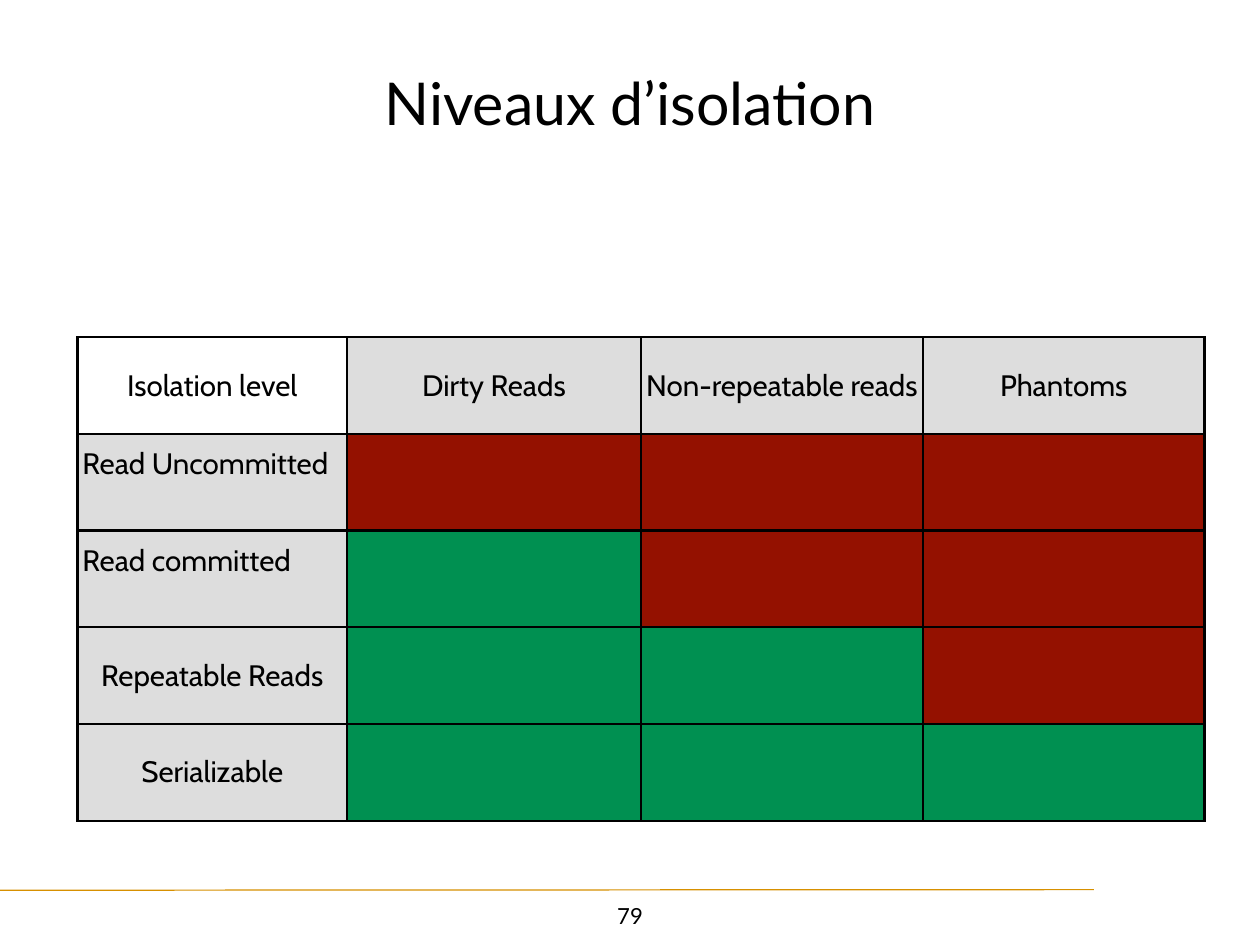
from dataclasses import dataclass

from lxml import etree
from pptx import Presentation
from pptx.dml.color import RGBColor
from pptx.enum.shapes import MSO_CONNECTOR
from pptx.enum.text import MSO_ANCHOR, PP_ALIGN
from pptx.oxml.ns import qn
from pptx.util import Pt

STRAIGHT = MSO_CONNECTOR.STRAIGHT
TOP, MIDDLE = MSO_ANCHOR.TOP, MSO_ANCHOR.MIDDLE
LEFT, CENTER = PP_ALIGN.LEFT, PP_ALIGN.CENTER


@dataclass(frozen=True)
class Theme:
    """Colours, fonts and type sizes of the slide."""
    ink: str = "000000"
    paper: str = "FFFFFF"
    header: str = "DDDDDD"
    possible: str = "941100"
    prevented: str = "009051"
    rule: str = "D79000"
    main_font: str = "Lato"
    table_font: str = "Cabin"
    title_size: int = 48
    table_size: int = 24
    number_size: int = 18
    inset: int = 4


THEME = Theme()
ANOMALIES = ["Dirty Reads", "Non-repeatable reads", "Phantoms"]
# Each level with the number of anomalies it prevents, and its alignment
LEVELS = [
    ("Read Uncommitted", 0, LEFT),
    ("Read committed", 1, LEFT),
    ("Repeatable Reads", 2, CENTER),
    ("Serializable", 3, CENTER),
]
COLUMN_WIDTHS = [219, 239, 229, 229]


def write(tf, text, *, size, font=THEME.main_font, color=THEME.ink, align=CENTER):
    """Put one formatted line of text in a text frame."""
    p = tf.paragraphs[0]
    p.alignment = align
    r = p.add_run()
    r.text = text
    r.font.name, r.font.size = font, Pt(size)
    r.font.color.rgb = RGBColor.from_string(color)


def set_insets(tf):
    """Give a text frame or a cell the same margin on all sides."""
    tf.margin_left = tf.margin_right = Pt(THEME.inset)
    tf.margin_top = tf.margin_bottom = Pt(THEME.inset)


def set_borders(cell, width=2):
    """Draw all four borders of a cell."""
    tc_pr = cell._tc.get_or_add_tcPr()
    for i, side in enumerate(("lnL", "lnR", "lnT", "lnB")):
        ln = etree.Element(qn(f"a:{side}"), w=str(Pt(width)))
        fill = etree.SubElement(ln, qn("a:solidFill"))
        etree.SubElement(fill, qn("a:srgbClr"), val=THEME.ink)
        tc_pr.insert(i, ln)


def style_cell(cell, color, text="", align=CENTER):
    """Fill, frame and label one table cell."""
    cell.fill.solid()
    cell.fill.fore_color.rgb = RGBColor.from_string(color)
    set_borders(cell)
    set_insets(cell)
    cell.vertical_anchor = MIDDLE
    if align == LEFT:
        cell.vertical_anchor = TOP
        cell.margin_top = Pt(10)
    if text:
        write(cell.text_frame, text, size=THEME.table_size,
              font=THEME.table_font, align=align)


def add_title(s, text, x, y, w, h):
    """Place and format the title placeholder."""
    sp = s.shapes.title
    sp.left, sp.top, sp.width, sp.height = Pt(x), Pt(y), Pt(w), Pt(h)
    tf = sp.text_frame
    set_insets(tf)
    tf.vertical_anchor = MIDDLE
    write(tf, text, size=THEME.title_size)


def add_isolation_table(s, x, y, w, h):
    """Show which anomalies each isolation level prevents."""
    rows, cols = len(LEVELS) + 1, len(ANOMALIES) + 1
    table = s.shapes.add_table(rows, cols, Pt(x), Pt(y), Pt(w), Pt(h)).table
    table.first_row = table.horz_banding = False
    for column, share in zip(table.columns, COLUMN_WIDTHS):
        column.width = Pt(w * share / sum(COLUMN_WIDTHS))
    for row in table.rows:
        row.height = Pt(h / rows)

    style_cell(table.cell(0, 0), THEME.paper, "Isolation level")
    for c, anomaly in enumerate(ANOMALIES, 1):
        style_cell(table.cell(0, c), THEME.header, anomaly)
    for r, (level, prevented, align) in enumerate(LEVELS, 1):
        style_cell(table.cell(r, 0), THEME.header, level, align)
        for c in range(1, cols):
            color = THEME.prevented if c <= prevented else THEME.possible
            style_cell(table.cell(r, c), color)


def add_footer(s, number, x, y, w, h):
    """Draw the footer rule and the page number centred under it."""
    rule = s.shapes.add_connector(STRAIGHT, Pt(x), Pt(y + 0.5), Pt(x + 889), Pt(y))
    rule.line.color.rgb = RGBColor.from_string(THEME.rule)
    rule.line.width = Pt(1)
    etree.SubElement(rule._element.spPr, qn("a:effectLst"))

    box_w = 48
    sp = s.shapes.add_textbox(Pt(x + (w - box_w) / 2), Pt(y + 6), Pt(box_w), Pt(h - 6))
    tf = sp.text_frame
    tf.word_wrap = True
    set_insets(tf)
    write(tf, number, size=THEME.number_size)


def build():
    """Build the slide and save it."""
    prs = Presentation()
    prs.slide_width, prs.slide_height = Pt(1024), Pt(768)
    s = prs.slides.add_slide(prs.slide_layouts[5])
    s.background.fill.solid()
    s.background.fill.fore_color.rgb = RGBColor.from_string(THEME.paper)
    add_footer(s, "79", 0, 723, 1024, 35)
    add_title(s, "Niveaux d’isolation", 100, 20, 824, 125)
    add_isolation_table(s, 63, 274, 916, 393)
    prs.save("out.pptx")


build()
